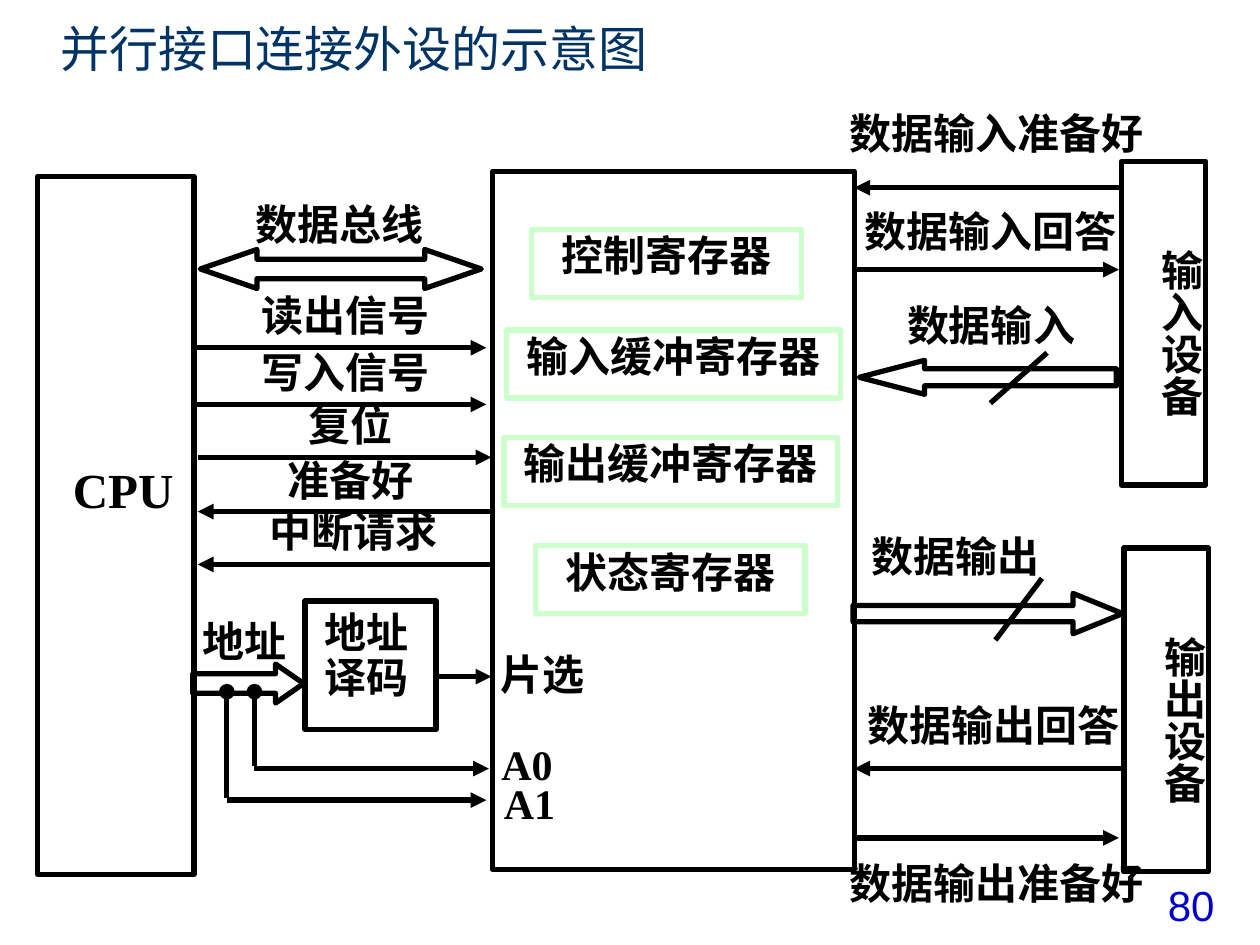
from dataclasses import dataclass
from lxml import etree
from pptx import Presentation, util as u
from pptx.dml.color import RGBColor
from pptx.enum import shapes, text
from pptx.oxml.ns import qn

SHAPE = shapes.MSO_SHAPE
ALIGN = text.PP_ALIGN
ANCHOR = text.MSO_ANCHOR


@dataclass
class Theme:
    ink: str = "000000"
    title: str = "003366"
    number: str = "0000CC"
    register: str = "CCFFCC"
    serif: str = "Times New Roman"
    sans: str = "Arial"
    body: int = 24
    large: int = 28
    stroke: int = 3


class Diagram:
    def __init__(self, s, theme):
        self.s = s
        self.t = theme

    def set_text(self, sp, content, align=ALIGN.LEFT, size=None, color=None,
                 name=None, bold=True, anchor=ANCHOR.TOP,
                 fit=text.MSO_AUTO_SIZE.SHAPE_TO_FIT_TEXT):
        tf = sp.text_frame
        p = tf.paragraphs[0]
        r = p.add_run()
        formats = (
            (tf, {"word_wrap": True, "auto_size": fit,
                  "vertical_anchor": anchor}),
            (p, {"alignment": align, "line_spacing": 0.9}),
            (r, {"text": content}),
            (r.font, {"name": name or self.t.serif, "bold": bold,
                      "size": u.Pt(size or self.t.body)}),
        )
        for target, values in formats:
            for key, value in values.items():
                setattr(target, key, value)
        r.font.color.rgb = RGBColor.from_string(color or self.t.ink)

    def label(self, content, x, y, w, h=0.5, vertical=False, **style):
        sp = self.s.shapes.add_textbox(*map(u.Inches, (x, y, w, h)))
        self.set_text(sp, content, **style)
        if vertical:
            sp.text_frame._txBody.bodyPr.set("vert", "eaVert")

    def shape(self, x, y, w, h, kind=SHAPE.RECTANGLE, adj=(), color=None):
        sp = self.s.shapes.add_shape(kind, *map(u.Inches, (x, y, w, h)))
        sp.shadow.inherit = False
        sp.fill.background()
        sp.line.color.rgb = RGBColor.from_string(color or self.t.ink)
        sp.line.width = u.Pt(self.t.stroke)
        for i, value in enumerate(adj):
            sp.adjustments[i] = value
        return sp

    def register(self, content, x, y, w):
        sp = self.shape(x, y, w, 0.54, color=self.t.register)
        self.set_text(sp, content, align=ALIGN.CENTER)

    def line(self, x1, y1, x2, y2, head=None, tail=None):
        sp = self.s.shapes.add_connector(
            shapes.MSO_CONNECTOR.STRAIGHT, *map(u.Inches, (x1, y1, x2, y2)))
        sp.line.color.rgb = RGBColor.from_string(self.t.ink)
        sp.line.width = u.Pt(self.t.stroke)
        ln = sp._element.spPr.find(qn("a:ln"))
        for tag, kind in (("a:headEnd", head), ("a:tailEnd", tail)):
            if kind:
                etree.SubElement(ln, qn(tag), type=kind)
        etree.SubElement(sp._element.spPr, qn("a:effectLst"))

    def arrow(self, x1, y1, x2, y2):
        self.line(x1, y1, x2, y2, tail="triangle")


def draw_cpu_side(d):
    d.shape(3.91, 1.36, 2.87, 5.54)
    d.shape(0.3, 1.4, 1.24, 5.54)
    d.label("CPU", 0.48, 3.65, 1.17, 0.57, size=d.t.large)
    d.shape(1.59, 1.98, 2.23, 0.31, SHAPE.LEFT_RIGHT_ARROW, (0.5, 1.45))
    d.label("数据总线", 1.93, 1.57, 1.69)
    signals = (
        ("读出信号", 1.9, 2.29, 1.53, 3.86, 2.76),
        ("写入信号", 1.9, 2.75, 1.53, 3.86, 3.21),
        ("复位", 1.94, 3.17, 1.57, 3.9, 3.63),
        ("准备好", 1.94, 3.6, 3.9, 1.57, 4.06),
        ("中断请求", 1.96, 4.01, 3.9, 1.57, 4.48),
    )
    for name, x, y, start, end, line_y in signals:
        d.arrow(start, line_y, end, line_y)
        d.label(name, x, y, 1.69, align=ALIGN.CENTER)


def draw_address(d):
    d.shape(2.42, 4.77, 1.04, 1.02)
    d.label("地址译码", 2.48, 4.81, 0.9, 0.9)
    d.shape(1.53, 5.27, 0.88, 0.31, SHAPE.RIGHT_ARROW, (0.5, 0.72))
    d.label("地址", 1.43, 4.88, 1.02, align=ALIGN.CENTER)
    for x, y, end in ((2.02, 6.1, 3.88), (1.8, 6.35, 3.86)):
        d.line(x, 5.49, x, y - 0.02, head="oval")
        d.arrow(x, y, end, y)
    d.arrow(3.45, 5.37, 3.9, 5.37)
    for pin, x, y, w in (("片选", 3.87, 5.14, 1.12),
                         ("A0", 3.88, 5.86, 0.71),
                         ("A1", 3.9, 6.17, 0.71)):
        d.label(pin, x, y, w)


def draw_registers(d):
    for name, x, y, w in (("控制寄存器", 4.22, 1.82, 2.14),
                          ("输入缓冲寄存器", 4.02, 2.62, 2.65),
                          ("输出缓冲寄存器", 4, 3.47, 2.65),
                          ("状态寄存器", 4.25, 4.33, 2.14)):
        d.register(name, x, y, w)


def draw_devices(d):
    for name, x, y in (("输入设备", 8.9, 1.28), ("输出设备", 8.92, 4.35)):
        d.shape(x, y, 0.67, 2.57)
        d.label(name, x + 0.08, y + 0.6, 0.6, 1.82, vertical=True)
    for start, end, y in ((8.9, 6.78, 1.49), (6.78, 8.88, 2.14),
                          (6.76, 8.88, 6.65), (8.92, 6.78, 6.1)):
        d.arrow(start, y, end, y)
    d.shape(6.82, 2.86, 2.04, 0.27, SHAPE.LEFT_ARROW, (0.5, 1.92))
    d.shape(6.77, 4.71, 2.14, 0.32, SHAPE.RIGHT_ARROW, (0.4, 1.23))
    d.line(8.31, 2.8, 7.86, 3.2)
    d.line(8.27, 4.59, 7.9, 5.08)
    for name, x, y, w in (("数据输入准备好", 6.64, 0.85, 2.61),
                          ("数据输出准备好", 6.64, 6.8, 2.61),
                          ("数据输入回答", 6.76, 1.63, 2.61),
                          ("数据输出回答", 6.79, 5.55, 2.61),
                          ("数据输入", 7.1, 2.37, 1.65),
                          ("数据输出", 6.82, 4.21, 1.65)):
        d.label(name, x, y, w)


def main():
    prs = Presentation()
    prs.slide_width, prs.slide_height = u.Inches(10), u.Inches(7.5)
    d = Diagram(prs.slides.add_slide(prs.slide_layouts[6]), Theme())
    d.label("80", 9.02, 6.98, 0.87, 0.46, align=ALIGN.CENTER,
            color=d.t.number, name=d.t.sans, bold=False)
    d.label("并行接口连接外设的示意图", 0.38, -0.03, 8.5, 0.7,
            size=d.t.large, color=d.t.title, name=d.t.sans, bold=False,
            anchor=ANCHOR.BOTTOM, fit=text.MSO_AUTO_SIZE.NONE)
    draw_cpu_side(d)
    draw_address(d)
    draw_registers(d)
    draw_devices(d)
    prs.save("out.pptx")


if __name__ == "__main__":
    main()
